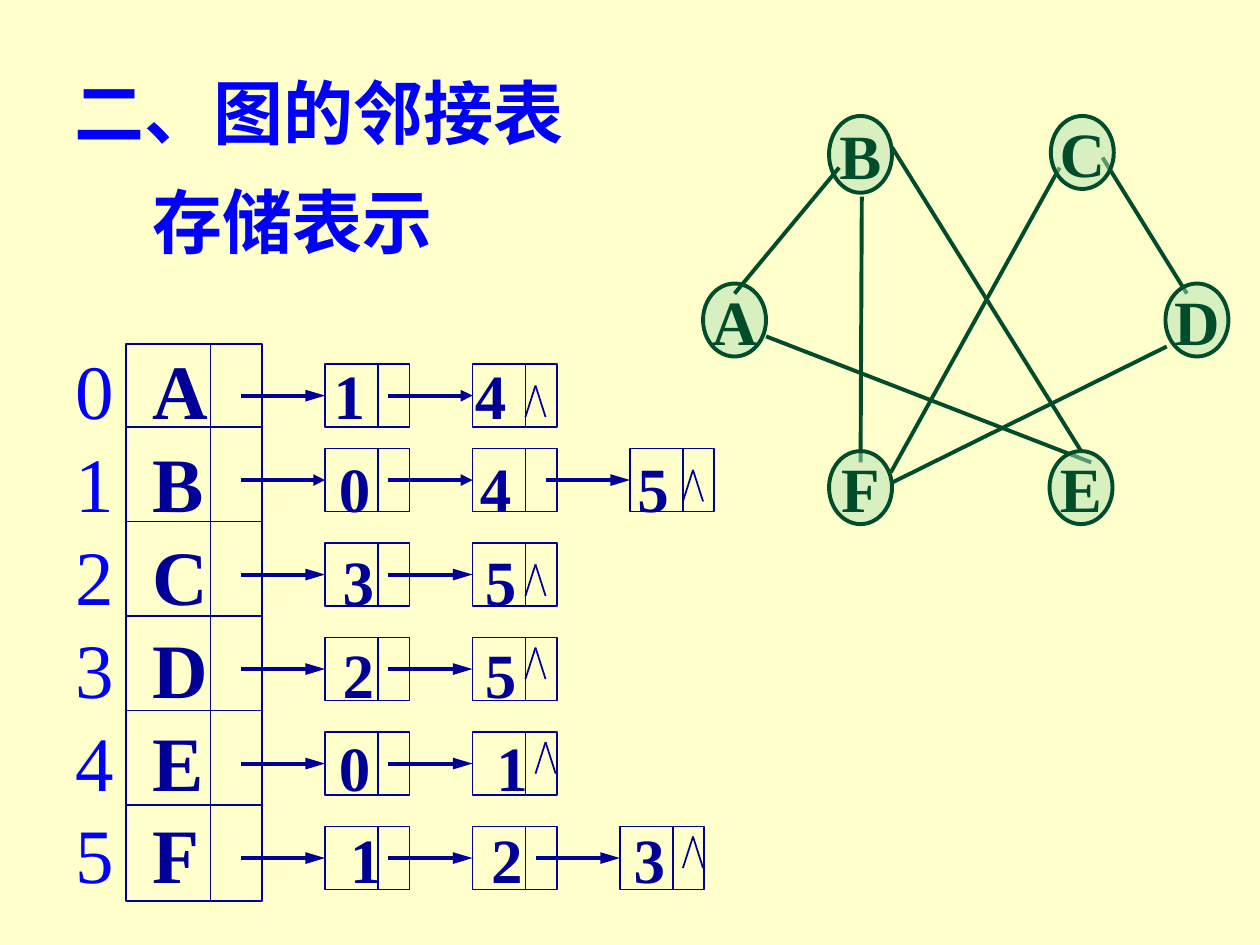
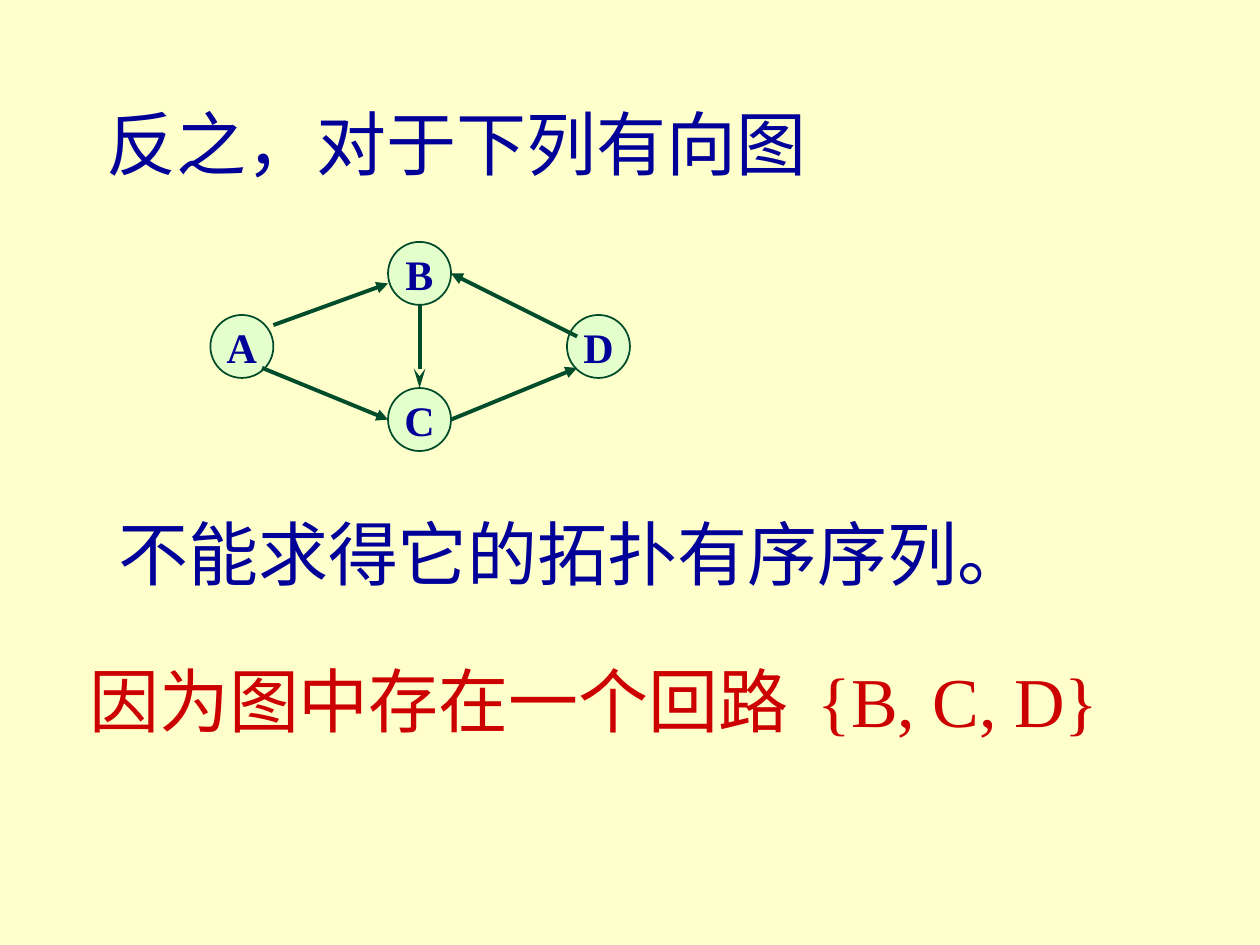
from dataclasses import dataclass
from typing import NamedTuple

import pptx
import pptx.dml.color
import pptx.enum.shapes
import pptx.enum.text
import pptx.oxml.ns
import pptx.shapes.autoshape
import pptx.shapes.connector
import pptx.slide
import pptx.text.text
import pptx.util
from lxml import etree
from pptx.util import Inches

Color = pptx.dml.color.RGBColor
Point = tuple[float, float]
qn = pptx.oxml.ns.qn


@dataclass(frozen=True)
class Theme:
    font: str = "Times New Roman"
    paper: Color = Color(0xFF, 0xFF, 0xCC)
    navy: Color = Color(0x00, 0x00, 0x99)
    blue: Color = Color(0x00, 0x00, 0xFF)
    red: Color = Color(0xCC, 0x00, 0x00)
    green: Color = Color(0x00, 0x4C, 0x2B)
    sage: Color = Color(0xB3, 0xE1, 0xB3)
    mint: Color = Color(0xCC, 0xFF, 0xCC)
    heading: int = 40
    index: int = 44
    value: int = 36
    small: int = 24
    thin: float = 1
    thick: float = 2.25


THEME = Theme()


class VertexStyle(NamedTuple):
    fill: Color
    text: Color
    size: int
    line: float


class Vertex(NamedTuple):
    name: str
    left: float
    top: float
    height: float


class Edge(NamedTuple):
    start: Point
    end: Point
    head: str = ""
    length: str = "med"


class ListRow(NamedTuple):
    """One head vertex with its chain; lengths are inches on the slide."""
    name: str
    values: str
    value_lefts: tuple[float, ...]
    cell_lefts: tuple[float, ...]
    arrow_lengths: tuple[str, ...]
    caret: Point


class Statement(NamedTuple):
    phrases: tuple[str, ...]
    left: float
    top: float
    width: float
    color: Color


BIG_VERTEX = VertexStyle(THEME.sage, THEME.green, THEME.value, THEME.thick)
SMALL_VERTEX = VertexStyle(THEME.mint, THEME.navy, THEME.small, THEME.thin)

TABLE_LEFT, TABLE_TOP, TABLE_WIDTH, TABLE_HEIGHT = 1, 2.73, 1.08, 4.42
TABLE_SPLIT, ROW_STEP = 1.67, 0.75
CELL_WIDTH, CELL_HEIGHT, CELL_SPLIT, ARROW = 0.67, 0.5, 0.42, 0.67
TEXT_LEFT, INSET = 0.5, 0.1
LETTER_LEFT = 1.21
TWO = (2.58, 3.75)
LONG = ("lg", "lg", "lg")

ROWS = (
    ListRow("A", "14", (2.65, 3.77), TWO, ("lg", "med"), (0.5, 0.17)),
    ListRow("B", "045", (2.69, 3.81, 5.06), TWO + (5,),
            ("med", "med", "lg"), (0.5, 0.17)),
    ListRow("C", "35", (2.72, 3.85), TWO, LONG, (0.5, 0.17)),
    ListRow("D", "25", (2.72, 3.85), TWO, LONG, (0.5, 0.08)),
    ListRow("E", "01", (2.69, 3.94), TWO, LONG, (0.58, 0.08)),
    ListRow("F", "123", (2.78, 3.9, 5.03), TWO + (4.92,), LONG, (0.58, 0.08)),
)

BACK_VERTICES = (Vertex("B", 6.58, 0.92, 0.61), Vertex("A", 5.58, 2.25, 0.58))
FRONT_VERTICES = (
    Vertex("C", 8.34, 0.92, 0.58),
    Vertex("D", 9.25, 2.25, 0.58),
    Vertex("F", 6.58, 3.58, 0.58),
    Vertex("E", 8.33, 3.58, 0.58),
)
PLAIN_EDGES = (
    Edge((6.66, 1.33), (5.83, 2.33)),
    Edge((7.08, 1.17), (8.58, 3.58)),
    Edge((6.08, 2.67), (8.66, 3.67)),
    Edge((8.41, 1.33), (7.07, 3.75)),
    Edge((8.75, 1.25), (9.42, 2.33)),
    Edge((9.26, 2.75), (7.08, 3.83)),
    Edge((6.84, 1.56), (6.83, 3.67)),
)

CYCLE_VERTICES = (
    Vertex("B", 3.08, 1.92, 0.5),
    Vertex("D", 4.5, 2.5, 0.5),
    Vertex("A", 1.67, 2.5, 0.5),
    Vertex("C", 3.08, 3.08, 0.5),
)
CYCLE_EDGES = (
    Edge((2.17, 2.58), (3.08, 2.25), "triangle"),
    Edge((2.08, 2.92), (3.08, 3.33), "triangle"),
    Edge((3.58, 3.33), (4.58, 2.92), "triangle"),
    Edge((4.58, 2.67), (3.58, 2.17), "triangle"),
    Edge((3.33, 2.42), (3.33, 3.08), "stealth", "lg"),
)
STATEMENTS = (
    Statement(("反之，对于下列有向图",), 0.75, 0.75, 5.75, THEME.navy),
    Statement(("不能求得它的拓扑有序序列。",), 0.84, 4, 7.41, THEME.navy),
    Statement(("因为图中存在一个回路", " ", "{B, C, D}"), 0.61, 5.17, 8.23, THEME.red),
)


def set_font(font: pptx.text.text.Font, size: int, color: Color, bold: bool = False) -> None:
    font.name = THEME.font
    font.size = pptx.util.Pt(size)
    font.bold = bold
    font.color.rgb = color


def add_text_frame(page: pptx.slide.Slide, left: float, top: float, width: float,
                   height: float, wrap: bool) -> pptx.text.text.TextFrame:
    box = page.shapes.add_textbox(Inches(left), Inches(top), Inches(width), Inches(height))
    box.text_frame.word_wrap = wrap
    box.text_frame.auto_size = pptx.enum.text.MSO_AUTO_SIZE.SHAPE_TO_FIT_TEXT
    return box.text_frame


def next_paragraph(frame: pptx.text.text.TextFrame, number: int) -> pptx.text.text._Paragraph:
    return frame.add_paragraph() if number else frame.paragraphs[0]


def add_line(page: pptx.slide.Slide, edge: Edge, color: Color,
             width: float) -> pptx.shapes.connector.Connector:
    line = page.shapes.add_connector(
        pptx.enum.shapes.MSO_CONNECTOR.STRAIGHT,
        *(Inches(length) for length in edge.start + edge.end))
    line.line.color.rgb = color
    line.line.width = pptx.util.Pt(width)
    if edge.head:
        etree.SubElement(line.line._get_or_add_ln(), qn("a:tailEnd"),
                         type=edge.head, w="med", len=edge.length)
    etree.SubElement(line._element.spPr, qn("a:effectLst"))
    return line


def add_rule(page: pptx.slide.Slide, start: Point, end: Point) -> None:
    add_line(page, Edge(start, end), THEME.navy, THEME.thin)


def add_frame(page: pptx.slide.Slide, left: float, top: float, width: float,
              height: float, split: float) -> pptx.shapes.autoshape.Shape:
    """Draw an unfilled rectangle with a vertical divider at split."""
    frame = page.shapes.add_shape(
        pptx.enum.shapes.MSO_SHAPE.RECTANGLE,
        Inches(left), Inches(top), Inches(width), Inches(height))
    frame.shadow.inherit = False
    frame.fill.background()
    frame.line.color.rgb = THEME.navy
    frame.line.width = pptx.util.Pt(THEME.thin)
    add_rule(page, (split, top), (split, top + height))
    return frame


def add_vertex(page: pptx.slide.Slide, vertex: Vertex, style: VertexStyle) -> None:
    oval = page.shapes.add_shape(
        pptx.enum.shapes.MSO_SHAPE.OVAL, Inches(vertex.left), Inches(vertex.top),
        Inches(0.5), Inches(vertex.height))
    oval.shadow.inherit = False
    oval.fill.solid()
    oval.fill.fore_color.rgb = style.fill
    shade = oval._element.spPr.find(f"{qn('a:solidFill')}/{qn('a:srgbClr')}")
    etree.SubElement(shade, qn("a:alpha"), val="50000")
    oval.line.color.rgb = THEME.green
    oval.line.width = pptx.util.Pt(style.line)
    frame = oval.text_frame
    frame.word_wrap = False
    frame.vertical_anchor = pptx.enum.text.MSO_ANCHOR.MIDDLE
    para = frame.paragraphs[0]
    para.text = vertex.name
    para.alignment = pptx.enum.text.PP_ALIGN.CENTER
    set_font(para.font, style.size, style.text, bold=True)


def add_list_text(page: pptx.slide.Slide) -> None:
    frame = add_text_frame(page, TEXT_LEFT, 2.67, 5.42, 4.5, wrap=True)
    for number, row in enumerate(ROWS):
        para = next_paragraph(frame, number)
        stops = etree.SubElement(para._p.get_or_add_pPr(), qn("a:tabLst"))
        for left in (LETTER_LEFT, *row.value_lefts):
            etree.SubElement(stops, qn("a:tab"), algn="l",
                             pos=str(Inches(left - TEXT_LEFT - INSET)))
        para.line_spacing = pptx.util.Pt(53)
        for text, size, color, bold in (
            (str(number), THEME.index, THEME.blue, False),
            (f"\t{row.name}", THEME.index, THEME.navy, True),
            ("\t" + "\t".join(row.values), THEME.value, THEME.navy, True),
        ):
            span = para.add_run()
            span.text = text
            set_font(span.font, size, color, bold)


def add_chain(page: pptx.slide.Slide, row: ListRow, top: float) -> None:
    middle = top + CELL_HEIGHT / 2
    for left, length in zip(row.cell_lefts, row.arrow_lengths):
        cell = add_frame(page, left, top, CELL_WIDTH, CELL_HEIGHT, left + CELL_SPLIT)
        edge = Edge((left - ARROW, middle), (left, middle), "triangle", length)
        add_line(page, edge, THEME.navy, THEME.thick).end_connect(cell, 1)
    peak_left, peak_top = row.cell_lefts[-1] + row.caret[0], top + row.caret[1]
    for side in (-0.08, 0.08):
        add_rule(page, (peak_left, peak_top), (peak_left + side, peak_top + 0.25))


def add_title(page: pptx.slide.Slide) -> None:
    frame = add_text_frame(page, 0.49, 0.3, 4.34, 1.84, wrap=True)
    for number, (text, indent) in enumerate((("二、图的邻接表", 0), ("存储表示", 0.62))):
        para = next_paragraph(frame, number)
        para.text = text
        para._p.get_or_add_pPr().set("marL", str(Inches(indent)))
        para.line_spacing = 1.3
        set_font(para.font, THEME.heading, THEME.blue, bold=True)


def build_adjacency_list(page: pptx.slide.Slide) -> None:
    add_list_text(page)
    add_frame(page, TABLE_LEFT, TABLE_TOP, TABLE_WIDTH, TABLE_HEIGHT, TABLE_SPLIT)
    for number, row in enumerate(ROWS):
        if number:
            level = 3.39 + ROW_STEP * (number - 1)
            add_rule(page, (TABLE_LEFT, level), (TABLE_LEFT + TABLE_WIDTH, level))
        add_chain(page, row, 2.81 + ROW_STEP * number if number else 2.89)
    for vertex in BACK_VERTICES:
        add_vertex(page, vertex, BIG_VERTEX)
    for edge in PLAIN_EDGES:
        add_line(page, edge, THEME.green, THEME.thick)
    for vertex in FRONT_VERTICES:
        add_vertex(page, vertex, BIG_VERTEX)
    add_title(page)


def build_cycle(page: pptx.slide.Slide) -> None:
    for vertex in CYCLE_VERTICES:
        add_vertex(page, vertex, SMALL_VERTEX)
    for edge in CYCLE_EDGES:
        add_line(page, edge, THEME.green, THEME.thick)
    for statement in STATEMENTS:
        frame = add_text_frame(page, statement.left, statement.top,
                               statement.width, 0.77, wrap=False)
        para = frame.paragraphs[0]
        for phrase in statement.phrases:
            span = para.add_run()
            span.text = phrase
            if phrase == " ":
                span.font._element.set("spc", "770")
        set_font(para.font, THEME.heading, statement.color)


def main() -> None:
    deck = pptx.Presentation()
    deck.slide_width, deck.slide_height = Inches(10), Inches(7.5)
    backdrop = deck.slide_master.background.fill
    backdrop.solid()
    backdrop.fore_color.rgb = THEME.paper
    for build in (build_adjacency_list, build_cycle):
        build(deck.slides.add_slide(deck.slide_layouts[6]))
    deck.save("out.pptx")


if __name__ == "__main__":
    main()
